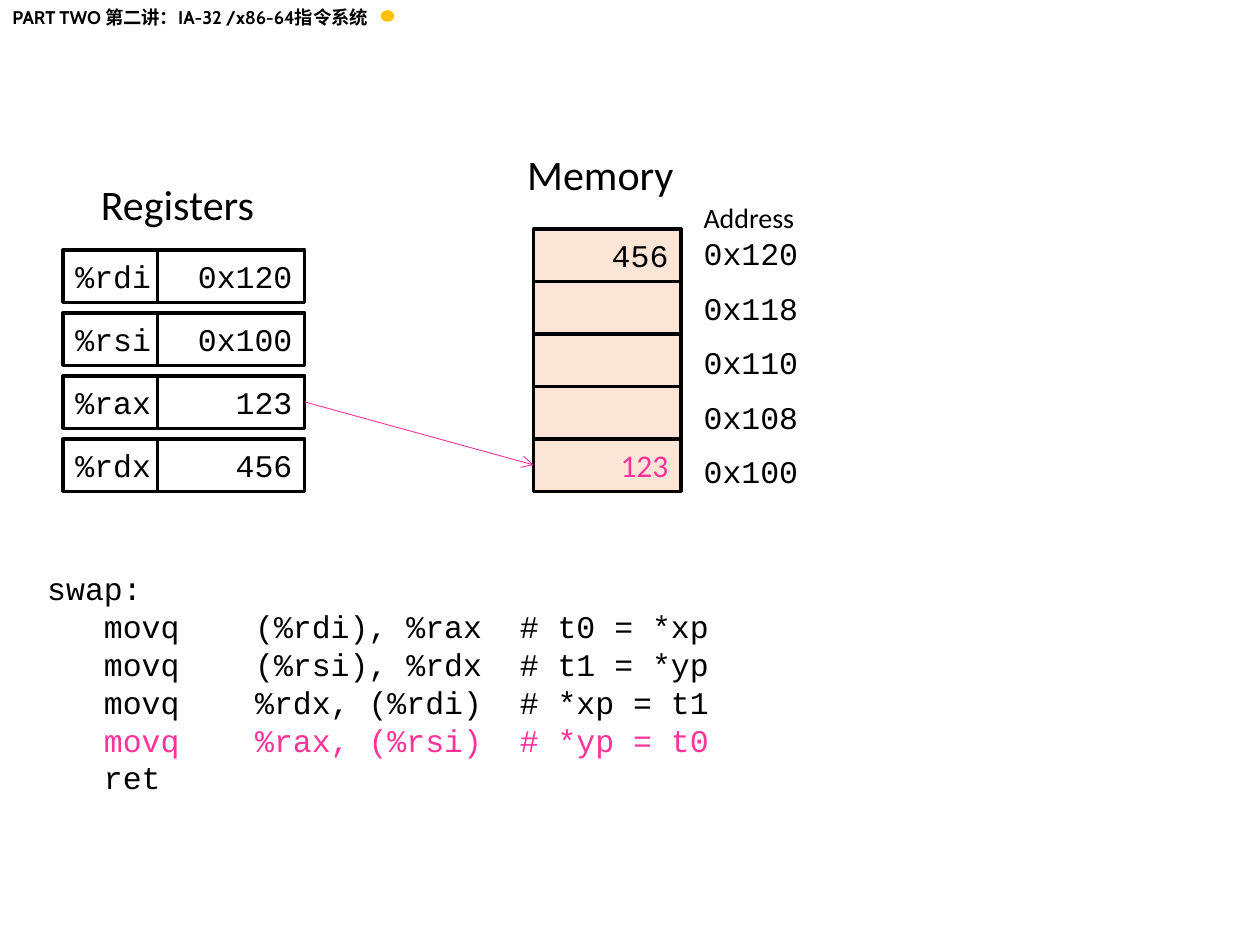
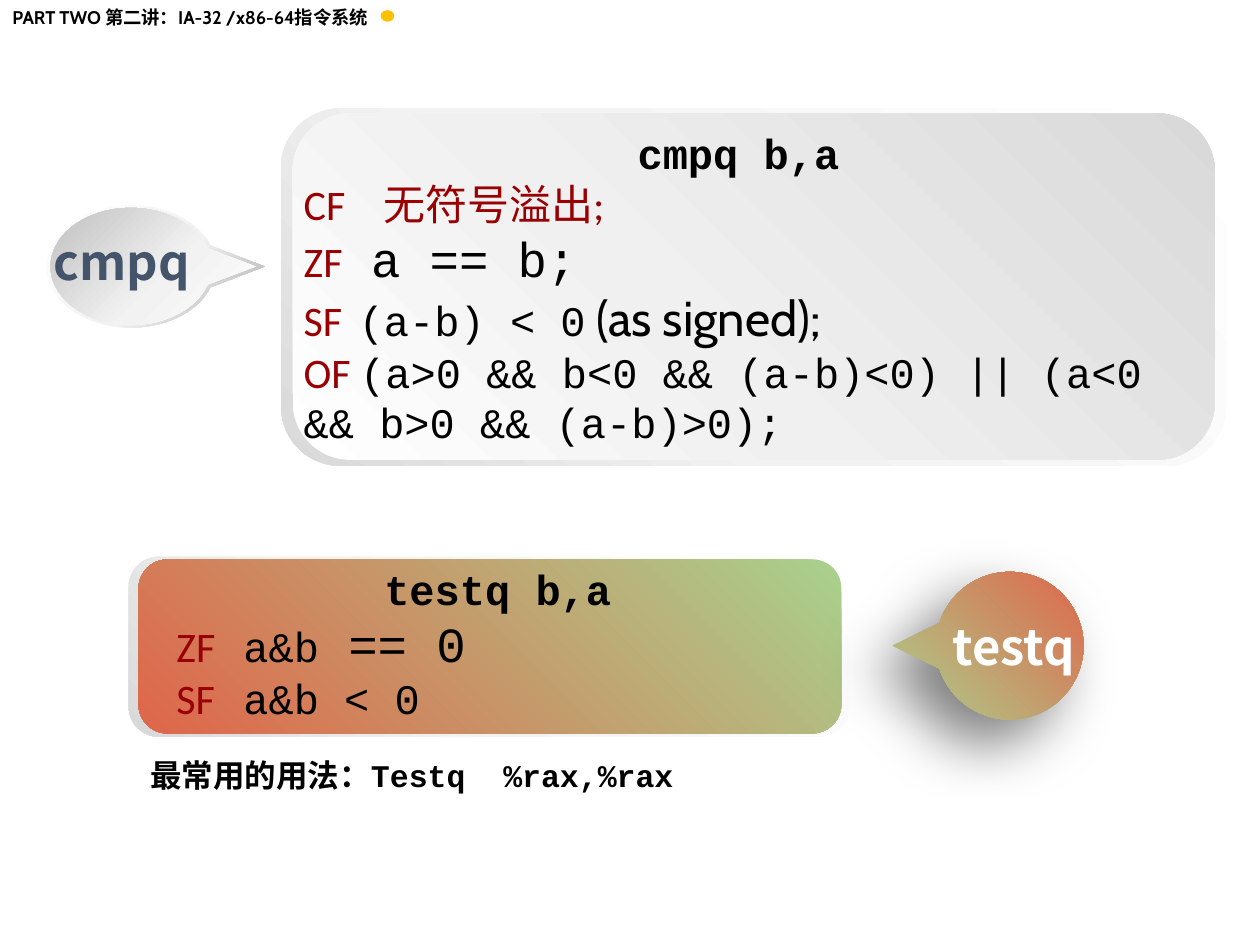
from dataclasses import dataclass
from math import cos, radians, sin, tan

from lxml import etree
from pptx import Presentation
from pptx.dml.color import RGBColor
from pptx.enum.shapes import MSO_CONNECTOR, MSO_SHAPE
from pptx.enum.text import MSO_ANCHOR, PP_ALIGN
from pptx.oxml.ns import qn
from pptx.util import Pt

RECT, ROUND, OVAL = MSO_SHAPE.RECTANGLE, MSO_SHAPE.ROUNDED_RECTANGLE, MSO_SHAPE.OVAL
LEFT, CENTER, RIGHT = PP_ALIGN.LEFT, PP_ALIGN.CENTER, PP_ALIGN.RIGHT
MIDDLE = MSO_ANCHOR.MIDDLE
STRAIGHT = MSO_CONNECTOR.STRAIGHT


@dataclass(frozen=True)
class Theme:
    ink: str = "000000"
    paper: str = "FFFFFF"
    peach: str = "FBE5D6"
    pink: str = "FF3399"
    red: str = "980002"
    slate: str = "44546A"
    gold: str = "FFC000"
    code: str = "Courier New"
    body: str = "Calibri"
    head: str = "Cabin"
    label: str = "Noto Sans CJK SC"
    tiny: float = 10.5
    small: int = 16
    mid: int = 18
    big: int = 24
    huge: int = 28
    rim: tuple = ((0, "FFFFFF"), (62, "F2F2F2"), (100, "D9D9D9"))
    panel: tuple = ((0, "FFFFFF"), (42, "F0F0F0"), (100, "D9D9D9"))
    edge: tuple = ((0, "FFFFFF"), (55, "F2F2F2"), (100, "A6A6A6"))
    pearl: tuple = ((0, "FFFFFF"), (43, "F2F2F2"), (100, "BFBFBF"))
    warm: tuple = ((0, "A9D18E"), (100, "DF664A"))


T = Theme()


def rgb(code):
    return RGBColor.from_string(code)


def child(node, tag, **attrs):
    made = etree.SubElement(node, qn(tag))
    for key, value in attrs.items():
        made.set(key, str(value))
    return made


def style(run, font, size, color=T.ink, bold=False):
    run.font.name, run.font.size, run.font.bold = font, Pt(size), bold
    run.font.color.rgb = rgb(color)
    child(run.font._element, "a:ea", typeface=T.label)


def put_line(par, runs, align=LEFT, tab=None, indent=0, space=None):
    props = par._p.get_or_add_pPr()
    if indent:
        props.set("marL", str(Pt(indent)))
    if tab:
        stops = child(props, "a:tabLst")
        child(stops, "a:tab", pos=Pt(tab), algn="l")
    par.alignment = align
    if space:
        par.line_spacing = space
    for words, *look in runs:
        run = par.add_run()
        run.text = words
        style(run, *look)


def write(slide, box, lines, pad=True):
    shape = slide.shapes.add_textbox(*map(Pt, box))
    frame = shape.text_frame
    frame.word_wrap = True
    if not pad:
        frame.margin_left = frame.margin_right = 0
        frame.margin_top = frame.margin_bottom = 0
    for i, (runs, opts) in enumerate(lines):
        par = frame.add_paragraph() if i else frame.paragraphs[0]
        put_line(par, runs, **opts)


def label(slide, box, words, font, size, color=T.ink, bold=False, align=LEFT, pad=True):
    write(slide, box, [([(words, font, size, color, bold)], {"align": align})], pad)


def plain(shape):
    shape.shadow.inherit = False
    shape.line.fill.background()


def blend(shape, stops, angle):
    plain(shape)
    shape.fill.gradient()
    grad = shape.fill._xPr.find(qn("a:gradFill"))
    for node in list(grad):
        grad.remove(node)
    group = child(grad, "a:gsLst")
    for place, color in stops:
        stop = child(group, "a:gs", pos=place * 1000)
        child(stop, "a:srgbClr", val=color)
    child(grad, "a:lin", ang=angle * 60000, scaled=0)


def card(slide, box, stops, angle):
    blend(slide.shapes.add_shape(ROUND, *map(Pt, box)), stops, angle)


def cell(slide, box, words, fill, align=RIGHT, font=T.code, color=T.ink):
    shape = slide.shapes.add_shape(RECT, *map(Pt, box))
    shape.shadow.inherit = False
    shape.fill.solid()
    shape.fill.fore_color.rgb = rgb(fill)
    shape.line.color.rgb = rgb(T.ink)
    shape.line.width = Pt(2)
    if words:
        frame = shape.text_frame
        frame.word_wrap = False
        frame.vertical_anchor = MIDDLE
        put_line(frame.paragraphs[0], [(words, font, T.mid, color)], align)


def bend(shape):
    lines = list(shape._element.iter(qn("a:lnTo")))[1:]
    for i in range(0, len(lines), 3):
        curve = etree.Element(qn("a:cubicBezTo"))
        lines[i].addprevious(curve)
        for line in lines[i:i + 3]:
            curve.append(line[0])
            line.getparent().remove(line)


def bubble(slide, center, radii, tip, gap, stops, angle):
    (x, y), (wide, high) = center, radii
    step = radians(360 - 2 * gap) / 4
    start = radians(gap + (0 if tip > x else 180))
    pull = 4 / 3 * tan(step / 4)

    def spot(turn, lean=0):
        return (Pt(x + wide * (cos(turn) - lean * sin(turn))),
                Pt(y + high * (sin(turn) + lean * cos(turn))))

    rim = [spot(start)]
    for i in range(4):
        turn = start + i * step
        rim += [spot(turn, pull), spot(turn + step, -pull), spot(turn + step)]
    path = slide.shapes.build_freeform(Pt(tip), Pt(y))
    path.add_line_segments(rim, close=True)
    shape = path.convert_to_shape()
    bend(shape)
    blend(shape, stops, angle)
    return shape


def shade(shape):
    glow = child(shape._element.spPr.find(qn("a:effectLst")), "a:outerShdw",
                 blurRad=Pt(35), dist=Pt(20), dir=135 * 60000, algn="tr", rotWithShape=0)
    child(child(glow, "a:srgbClr", val=T.ink), "a:alpha", val=50000)


def arrow(slide, start, end):
    line = slide.shapes.add_connector(STRAIGHT, *map(Pt, start + end))
    line.line.color.rgb = rgb(T.pink)
    line.line.width = Pt(0.5)
    child(line.line._get_or_add_ln(), "a:tailEnd", type="arrow")
    child(line._element.spPr, "a:effectLst")


def new_slide(deck):
    slide = deck.slides.add_slide(deck.slide_layouts[6])
    label(slide, (0, 0, 224.6, 20), "PART TWO 第二讲：IA-32 /x86-64指令系统",
          T.head, T.tiny, bold=True)
    dot = slide.shapes.add_shape(OVAL, Pt(217.5), Pt(5.8), Pt(7.8), Pt(6.6))
    plain(dot)
    dot.fill.solid()
    dot.fill.fore_color.rgb = rgb(T.gold)
    return slide


def swap_slide(deck):
    slide = new_slide(deck)
    high, wide = 30, 84.2
    store = [("0x120", "456"), ("0x118", ""), ("0x110", ""), ("0x108", ""), ("0x100", "123")]
    for i, (place, value) in enumerate(store):
        font, color = (T.body, T.pink) if value == "123" else (T.code, T.ink)
        cell(slide, (304.9, 130.8 + high * i, wide, high), value, T.peach,
             font=font, color=color)
        label(slide, (395, 130.4 + 31.1 * i, 95.8, 28.8), place, T.code, T.mid)

    regs = [("%rdi", "0x120"), ("%rsi", "0x100"), ("%rax", "123"), ("%rdx", "456")]
    for i, (name, value) in enumerate(regs):
        top = 142.8 + 36 * i
        cell(slide, (36, top, 54, high), name, T.paper, LEFT)
        cell(slide, (90, top, wide, high), value, T.paper)

    label(slide, (50.6, 98.6, 106.6, 36), "Registers", T.body, T.big)
    label(slide, (294.2, 81.4, 100.8, 36), "Memory", T.body, T.big)
    label(slide, (395, 111.3, 95.8, 26.6), "Address", T.body, T.small)

    code = [
        "swap:",
        "   movq    (%rdi), %rax  # t0 = *xp",
        "   movq    (%rsi), %rdx  # t1 = *yp",
        "   movq    %rdx, (%rdi)  # *xp = t1",
        "   movq    %rax, (%rsi)  # *yp = t0",
        "   ret",
    ]
    rows = [([(row, T.code, T.mid, T.pink if i == 4 else T.ink)], {})
            for i, row in enumerate(code)]
    write(slide, (19.9, 321.8, 462.2, 138.2), rows)
    arrow(slide, (174.2, 229.7), (304.9, 265.7))


def flag(name, tab=None):
    return (name + ("\t" if tab else " "), T.body, T.big, T.red)


def title(words, indent):
    return [(words, T.code, T.big, T.ink, True)], {"indent": indent, "space": 1.5}


def test_slide(deck):
    slide = new_slide(deck)
    card(slide, (160.6, 61.9, 540, 204.3), T.rim, 135)
    card(slide, (167.2, 64.8, 527, 198), T.panel, 315)
    write(slide, (173.5, 58.7, 514.8, 231), [
        title("cmpq b,a", 190.8),
        ([flag("CF", 45.5), ("无符号溢出;", T.body, T.big, T.red)], {"tab": 45.5}),
        ([flag("ZF", 38.5), ("a == b;", T.code, T.huge)], {"tab": 38.5}),
        ([flag("SF", 31.5), ("(a-b) < 0", T.code, T.big),
          (" (as signed);", T.head, T.huge)], {"tab": 31.5}),
        ([flag("OF"), ("(a>0 && b<0 && (a-b)<0) || (a<0 && b>0 && (a-b)>0);",
                       T.code, T.big)], {}),
    ], pad=False)

    hub = (74.9, 152.3)
    bubble(slide, hub, (48.2, 34.9), 151.2, 20, T.edge, 45)
    bubble(slide, hub, (46, 33.5), 146.2, 18, T.pearl, 225)
    label(slide, (28.8, 132.5, 81.4, 33.8), "cmpq", T.label, T.huge, T.slate,
          True, CENTER, False)

    card(slide, (73.6, 318.2, 411.6, 102.8), T.rim, 135)
    card(slide, (79.2, 319.7, 401.6, 99.4), T.warm, 135)
    write(slide, (100.8, 307.4, 439.2, 150.5), [
        title("testq b,a", 118.8),
        ([flag("ZF", 38.3), ("a&b", T.code, T.big), (" == 0", T.code, T.huge)], {"tab": 38.3}),
        ([flag("SF", 38.3), ("a&b < 0", T.code, T.big)], {"tab": 38.3}),
    ], pad=False)

    shade(bubble(slide, (577, 369), (42.2, 42.2), 510.3, 18, T.warm, 315))
    label(slide, (539.8, 352.2, 79.2, 33.8), "testq", T.label, T.huge, T.paper,
          True, CENTER, False)
    label(slide, (78.9, 428.4, 313.2, 28.8), "最常用的用法：Testq  %rax,%rax",
          T.code, T.mid, bold=True)


def main():
    deck = Presentation()
    deck.slide_width, deck.slide_height = Pt(720), Pt(540)
    swap_slide(deck)
    test_slide(deck)
    deck.save("out.pptx")


if __name__ == "__main__":
    main()
